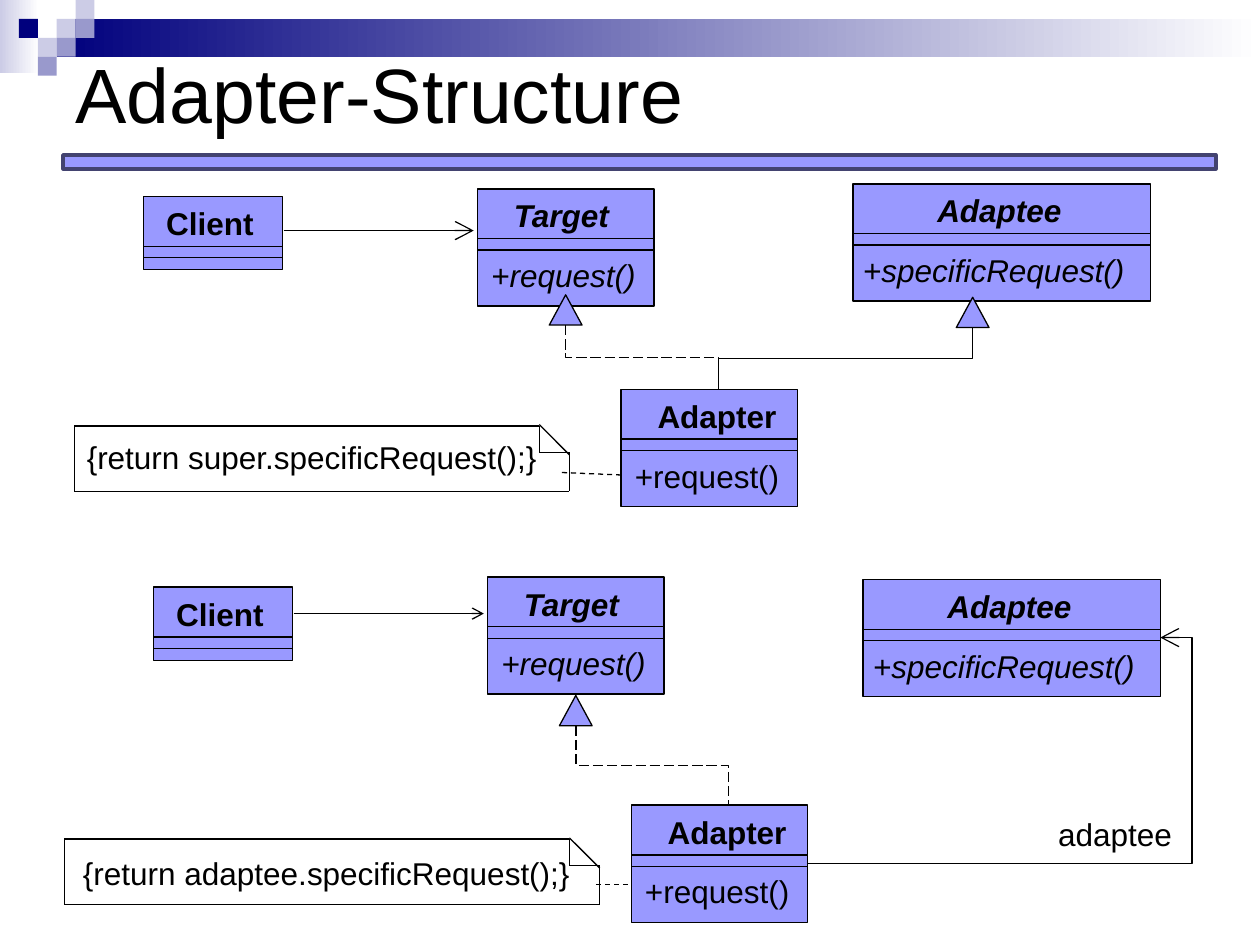
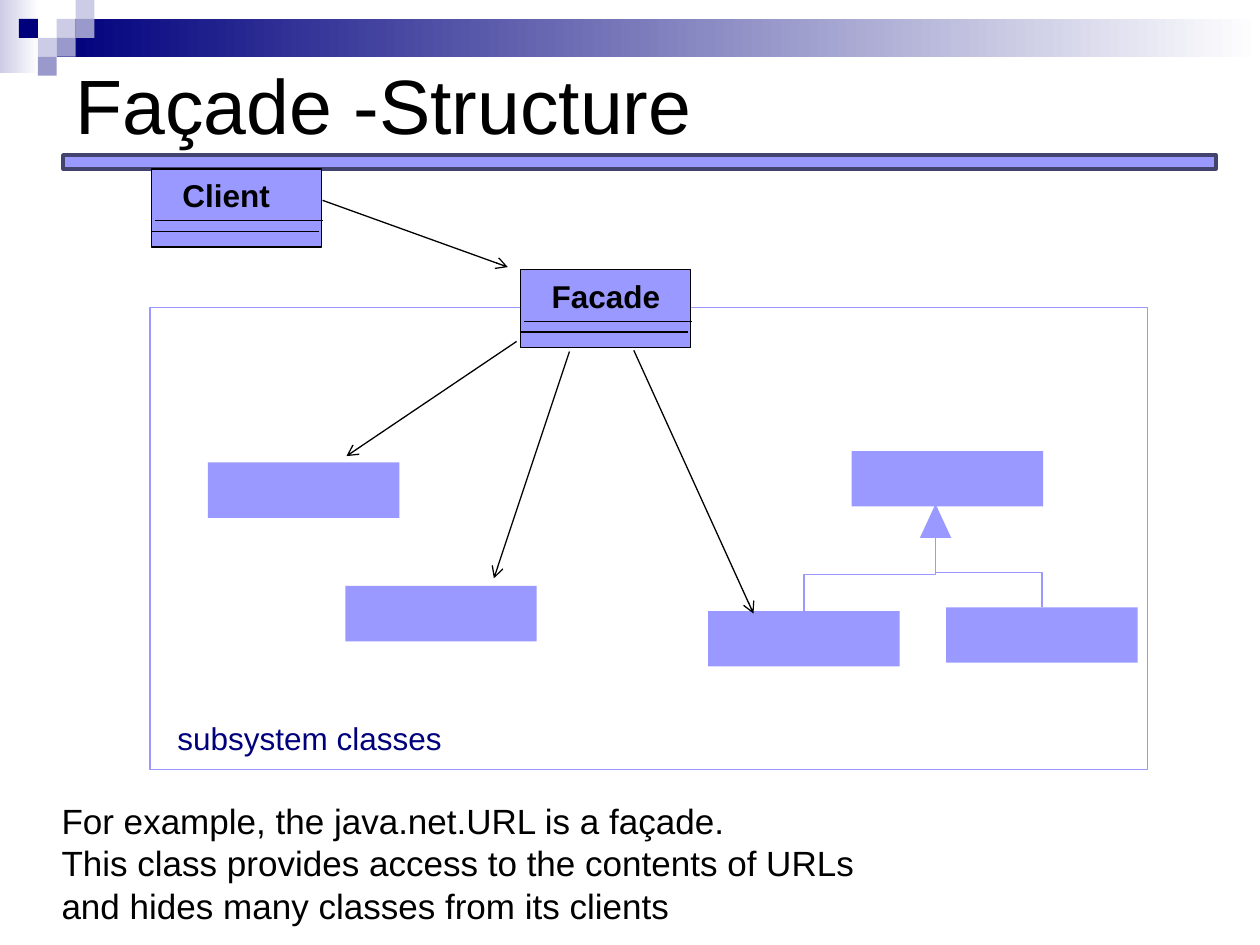
from dataclasses import dataclass

from lxml import etree
from pptx import Presentation
from pptx import util as u
from pptx.dml.color import RGBColor
from pptx.enum import dml, shapes, text
from pptx.oxml import ns

COLOURS = {
    "ink": "000000", "paper": "FFFFFF", "navy": "00007D", "violet": "9999FF",
    "mid": "9999CC", "pale": "CCCCE6", "rule": "434370",
}
FONT = "Arial"
COLUMNS, ROWS = 100, 75
CELL = u.Inches(0.1)
LABEL_HEIGHT = 4
KIND = shapes.MSO_SHAPE
DASH = dml.MSO_LINE


@dataclass
class Box:
    """A region of the slide, in grid columns and rows."""
    left: float
    top: float
    width: float
    height: float

    def inner(self, left, top, width, height):
        return Box(self.left + left, self.top + top, width, height)

    def point(self, column, row):
        return self.left + column, self.top + row

    @property
    def right(self):
        return self.left + self.width

    @property
    def bottom(self):
        return self.top + self.height

    def lengths(self):
        return [cells(n) for n in (self.left, self.top, self.width, self.height)]


def cells(count):
    return u.Emu(round(count * CELL))


def colour(name):
    return RGBColor.from_string(COLOURS[name])


# Basic parts

def add_block(page, box, fill=None, line=None, kind=KIND.RECTANGLE, weight=0.75):
    """fill is a colour name, a pair of names for a gradient, or None."""
    block = page.shapes.add_shape(kind, *box.lengths())
    block.shadow.inherit = False
    if fill is None:
        block.fill.background()
    elif isinstance(fill, tuple):
        block.fill.gradient()
        block.fill.gradient_angle = 0
        for stop, name in zip(block.fill.gradient_stops, fill):
            stop.color.rgb = colour(name)
    else:
        block.fill.solid()
        block.fill.fore_color.rgb = colour(fill)
    if line:
        block.line.color.rgb = colour(line)
        block.line.width = u.Pt(weight)
    else:
        block.line.fill.background()
    return block


def write(frame, lines, size=18, ink="ink", bold=False, italic=False):
    for number, line in enumerate(lines):
        para = frame.paragraphs[0] if number == 0 else frame.add_paragraph()
        para.alignment = text.PP_ALIGN.LEFT
        span = para.add_run()
        span.text = line
        span.font.name, span.font.size = FONT, u.Pt(size)
        span.font.bold, span.font.italic = bold, italic
        span.font.color.rgb = colour(ink)


def add_label(page, box, *lines, **style):
    frame = page.shapes.add_textbox(*box.lengths()).text_frame
    frame.word_wrap = False
    frame.auto_size = text.MSO_AUTO_SIZE.SHAPE_TO_FIT_TEXT
    write(frame, lines, **style)


def add_line(page, start, end, ink="ink", dash=None, head=None, tail=None,
             kind=shapes.MSO_CONNECTOR.STRAIGHT):
    """head and tail give the size of an open arrow: "med" or "lg"."""
    line = page.shapes.add_connector(kind, *map(cells, (*start, *end)))
    line.line.color.rgb = colour(ink)
    line.line.width = u.Pt(0.75)
    if dash:
        line.line.dash_style = dash
    outline = line.line._get_or_add_ln()
    for tag, size in (("a:headEnd", head), ("a:tailEnd", tail)):
        if size:
            etree.SubElement(outline, ns.qn(tag), type="arrow", w=size, len=size)
    etree.SubElement(line._element.spPr, ns.qn("a:effectLst"))
    return line


def add_drop(page, start, end, **style):
    """Elbow that leaves and arrives vertically: a turned horizontal one."""
    (x1, y1), (x2, y2) = start, end
    middle_x, middle_y = (x1 + x2) / 2, (y1 + y2) / 2
    half_run, half_rise = (y2 - y1) / 2, abs(x2 - x1) / 2
    rightward = x2 > x1
    if rightward:
        half_run = -half_run
    line = add_line(page, (middle_x - half_run, middle_y - half_rise),
                    (middle_x + half_run, middle_y + half_rise),
                    kind=shapes.MSO_CONNECTOR.ELBOW, **style)
    line._element.spPr.find(ns.qn("a:xfrm")).set(
        "rot", str((270 if rightward else 90) * 60000))


def add_side_elbow(page, start, end, bend, **style):
    """Elbow that leaves sideways; bend is the share of the run where it turns."""
    line = add_line(page, start, end, kind=shapes.MSO_CONNECTOR.ELBOW, **style)
    guides = line._element.spPr.find(ns.qn("a:prstGeom")).get_or_add_avLst()
    etree.SubElement(guides, ns.qn("a:gd"), name="adj1",
                     fmla=f"val {round(bend * 100000)}")


# Shared page frame

def add_page(deck, title, title_box):
    page = deck.slides.add_slide(deck.slide_layouts[5])
    add_block(page, Box(0, 0, 3.1, 5.8), ("pale", "paper"))
    add_block(page, Box(4.5, 1.5, COLUMNS - 4.5, 3), ("navy", "paper"))
    side = 1.5
    corner = Box(3, 0, 3 * side, 4 * side)
    squares = ((1, 1, "pale"), (2, 0, "pale"), (2, 1, "mid"), (0, 2, "pale"),
               (-1, 1, "navy"), (1, 2, "mid"), (0, 3, "mid"))
    for column, row, fill in squares:
        add_block(page, corner.inner(column * side, row * side, side, side), fill)
    add_block(page, Box(5, 12.3, 91.5, 1.1), "violet", "rule", weight=2)

    heading = page.shapes.title
    heading.left, heading.top, heading.width, heading.height = title_box.lengths()
    heading.text_frame.vertical_anchor = text.MSO_ANCHOR.MIDDLE
    write(heading.text_frame, [title], size=44)
    page.shapes._spTree.append(heading._element)  # in front of the bands
    return page


# Diagram parts

def add_class(page, box, name, name_box, member=None, member_box=None,
              abstract=False, rules=((0, 3.95), (0, 4.85)), rule_width=None):
    """name_box and member_box are (left, width); rules are (shift, row)."""
    add_block(page, box, "violet", "ink")
    for shift, row in rules:
        start = box.point(shift, row)
        add_line(page, start, (start[0] + (rule_width or box.width), start[1]))
    left, width = name_box
    add_label(page, box.inner(left, 0.1, width, LABEL_HEIGHT), name,
              bold=True, italic=abstract)
    if member:
        left, width = member_box
        add_label(page, box.inner(left, 4.85, width, LABEL_HEIGHT), member,
                  italic=abstract)


def add_note(page, box, label, label_box):
    fold = box.width - 2.4
    fold_row = 2.1
    edges = (
        ((fold, -0.1), (box.width, 2.3)),
        ((fold, 0), (fold, fold_row)),
        ((fold, fold_row), (box.width, fold_row)),
        ((0, 0), (fold, 0)),
        ((0, box.height), (box.width, box.height)),
        ((box.width, fold_row), (box.width, box.height)),
        ((0, 0), (0, box.height)),
    )
    for start, end in edges:
        add_line(page, box.point(*start), box.point(*end))
    add_label(page, box.inner(*label_box, LABEL_HEIGHT), label)


def add_adapter_diagram(page, box, rows, arrow_size):
    """Classes and arrows both variants share; rows gives the row of each part."""
    client = box.inner(11.4, rows["client"], 11, 5.8)
    target = box.inner(37.9, rows["target"], 14, 9.3)
    adapter = box.inner(49.3, rows["adapter"], 14, 9.3)
    adaptee = box.inner(67.7, 0, 23.6, 9.3)
    add_class(page, client, "Client", (0.8, 9))
    add_class(page, target, "Target", (1.9, 9.7), "+request()", (0.1, 13.5),
              abstract=True)
    add_class(page, adapter, "Adapter", (1.9, 11.5), "+request()", (0.1, 13.5))
    add_class(page, adaptee, "Adaptee", (5.7, 11.9), "+specificRequest()",
              (-0.2, 22.8), abstract=True)
    add_line(page, box.point(22.5, rows["arrow"]), box.point(37.6, rows["arrow"]),
             tail=arrow_size)
    add_inheritance(page, box.inner(43.6, rows["triangle"], 2.6, 2.4),
                    adapter.point(7.7, 0), dash=DASH.LONG_DASH)
    return adapter, adaptee


def add_inheritance(page, triangle, child, **style):
    add_block(page, triangle, "violet", "ink", KIND.ISOSCELES_TRIANGLE)
    add_drop(page, (triangle.left + triangle.width / 2, triangle.bottom), child,
             **style)


def add_class_adapter(page, box):
    rows = {"client": 1, "target": 0.4, "adapter": 16.3, "arrow": 3.7, "triangle": 8.8}
    adapter, adaptee = add_adapter_diagram(page, box, rows, "lg")
    add_inheritance(page, adaptee.inner(8.2, 9, 2.6, 2.4), adapter.point(7.7, 0))
    note = box.inner(5.9, 19.2, 39.3, 5.2)
    add_note(page, note, "{return super.specificRequest();}", (0, 0.5, 37.8))
    add_line(page, note.point(38.7, 3.7), adapter.point(0, 6.8), dash=DASH.DASH)


def add_object_adapter(page, box):
    rows = {"client": 0.6, "target": -0.2, "adapter": 17.9, "arrow": 2.7, "triangle": 9.2}
    adapter, adaptee = add_adapter_diagram(page, box, rows, "med")
    add_side_elbow(page, (adaptee.right, adaptee.top + 4.6),
                   (adapter.right, adapter.top + 4.65), -0.09, head="lg")
    add_label(page, box.inner(82.2, 18.2, 12, LABEL_HEIGHT), "adaptee")
    note = box.inner(4.3, 20.6, 42.5, 5.2)
    add_note(page, note, "{return adaptee.specificRequest();}", (0.5, 0.7, 43.8))
    add_line(page, note.point(42.2, 3.6), adapter.point(0, 6.3), dash=DASH.DASH)


def add_subsystem(page, box):
    add_block(page, box, None, "violet")
    add_label(page, box.inner(1.2, 32.2, 23, LABEL_HEIGHT), "subsystem classes",
              ink="navy")
    places = ((4.6, 12.3), (15.5, 22.1), (44.3, 24.1), (63.2, 23.8), (55.7, 11.4))
    parts = [box.inner(*place, 15.2, 4.4) for place in places]
    for part in parts:
        add_block(page, part, "violet")

    # Parent class with two children
    triangle = box.inner(61.1, 15.6, 2.5, 2.7)
    add_block(page, triangle, "violet", kind=KIND.ISOSCELES_TRIANGLE)
    for child in parts[2:4]:
        add_drop(page, (triangle.left + triangle.width / 2, triangle.bottom),
                 child.point(child.width / 2, 0), ink="violet")


def add_facade_diagram(page):
    subsystem = Box(11.9, 24.4, 79.2, 36.7)
    add_subsystem(page, subsystem)
    client = Box(12, 13.4, 13.5, 6.2)
    facade = Box(41.3, 21.4, 13.5, 6.2)
    for box, name, width in ((client, "Client", 9), (facade, "Facade", 10.6)):
        add_class(page, box, name, (1.5, width), rules=((0.3, 4.1), (0, 4.95)),
                  rule_width=13.3)
    add_line(page, client.point(13.6, 2.5), facade.point(-1, -0.2), tail="med")
    calls = (((-0.3, 5.7), (15.6, 11.8)), ((3.9, 6.5), (27.3, 21.5)),
             ((9, 6.4), (47.9, 24.3)))
    for start, end in calls:
        add_line(page, facade.point(*start), subsystem.point(*end), tail="med")


def main():
    deck = Presentation()
    deck.slide_width, deck.slide_height = cells(COLUMNS), cells(ROWS)

    page = add_page(deck, "Adapter-Structure", Box(5, 1.1, 90, 12.5))
    add_class_adapter(page, Box(0, 14.6, COLUMNS, 26))
    add_object_adapter(page, Box(0.8, 46, COLUMNS, 28))

    page = add_page(deck, "Façade -Structure", Box(5, 0.7, 90, 15))
    add_facade_diagram(page)
    add_label(page, Box(3.9, 63, 65.6, 11),
              "For example, the java.net.URL is a façade.",
              "This class provides access to the contents of URLs",
              "and hides many classes from its clients", size=20)
    deck.save("out.pptx")


if __name__ == "__main__":
    main()
